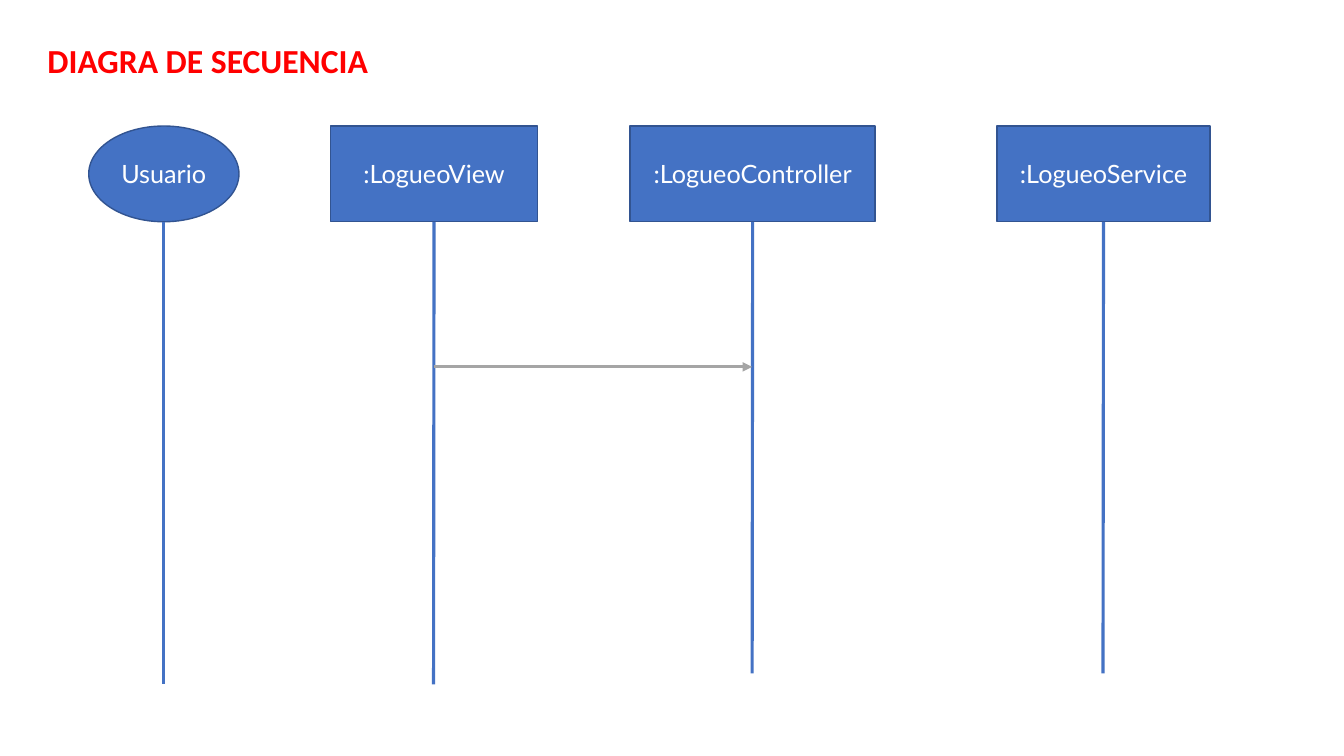
from dataclasses import dataclass

from lxml import etree
from pptx import Presentation
from pptx.dml.color import RGBColor
from pptx.enum.shapes import MSO_CONNECTOR, MSO_SHAPE
from pptx.enum.text import MSO_ANCHOR, MSO_AUTO_SIZE, PP_ALIGN
from pptx.oxml.ns import qn
from pptx.util import Pt

PX = 9144  # EMU per px, 100 px to the inch
RECT, OVAL = MSO_SHAPE.RECTANGLE, MSO_SHAPE.OVAL
STRAIGHT = MSO_CONNECTOR.STRAIGHT
TOP, MIDDLE = MSO_ANCHOR.TOP, MSO_ANCHOR.MIDDLE
LEFT, CENTER = PP_ALIGN.LEFT, PP_ALIGN.CENTER
NO_AUTOFIT = MSO_AUTO_SIZE.NONE
TITLE_ONLY = 5
BOTTOM_SIDE = 2


@dataclass(frozen=True)
class Theme:
    title: RGBColor = RGBColor(0xFF, 0x00, 0x00)
    text: RGBColor = RGBColor(0xFF, 0xFF, 0xFF)
    fill: RGBColor = RGBColor(0x44, 0x72, 0xC4)
    outline: RGBColor = RGBColor(0x32, 0x54, 0x91)
    message: RGBColor = RGBColor(0xA5, 0xA5, 0xA5)
    title_font: str = "Calibri"
    text_font: str = "Lato"
    title_size: int = 24
    text_size: int = 18
    outline_width: float = 1
    line_width: float = 2.25


THEME = Theme()

# Head shape, name, left and width in px, lifeline length in px
PARTICIPANTS = [
    (OVAL, "Usuario", 88, 149, 459),
    (RECT, ":LogueoView", 328, 205, 459),
    (RECT, ":LogueoController", 625, 243, 448),
    (RECT, ":LogueoService", 989, 211, 448),
]
# Sender, receiver, distance below the heads in px
MESSAGES = [(":LogueoView", ":LogueoController", 144)]


def write_text(sp, text, anchor, align, font_format):
    tf = sp.text_frame
    frame_format = {"word_wrap": True, "auto_size": NO_AUTOFIT, "vertical_anchor": anchor}
    for name, value in frame_format.items():
        setattr(tf, name, value)
    p = tf.paragraphs[0]
    p.alignment = align
    r = p.add_run()
    r.text = text
    color = font_format["color"]
    r.font.color.rgb = color
    for name, value in font_format.items():
        if name != "color":
            setattr(r.font, name, value)


def add_line(s, x1, y1, x2, y2, color, arrow=False):
    line = s.shapes.add_connector(STRAIGHT, *(v * PX for v in (x1, y1, x2, y2)))
    line.line.color.rgb = color
    line.line.width = Pt(THEME.line_width)
    if arrow:
        etree.SubElement(line.line._get_or_add_ln(), qn("a:tailEnd"), type="triangle")
    etree.SubElement(line._element.spPr, qn("a:effectLst"))
    return line


def add_title(s, left, top, width, height):
    sp = s.shapes.title
    box = {"left": left, "top": top, "width": width, "height": height}
    for name, value in box.items():
        setattr(sp, name, value * PX)
    write_text(sp, "DIAGRA DE SECUENCIA", TOP, LEFT, {
        "name": THEME.title_font, "size": Pt(THEME.title_size),
        "bold": True, "color": THEME.title})


def add_participant(s, kind, name, left, top, width, height, length):
    # Head
    sp = s.shapes.add_shape(kind, *(v * PX for v in (left, top, width, height)))
    sp.shadow.inherit = False
    sp.fill.solid()
    sp.fill.fore_color.rgb = THEME.fill
    sp.line.color.rgb = THEME.outline
    sp.line.width = Pt(THEME.outline_width)
    write_text(sp, name, MIDDLE, CENTER, {
        "name": THEME.text_font, "size": Pt(THEME.text_size), "color": THEME.text})

    # Lifeline
    x, y = left + width // 2, top + height
    line = add_line(s, x, y, x, y + length, THEME.fill)
    if kind == RECT:
        line.begin_connect(sp, BOTTOM_SIDE)
    return x


def add_sequence(s, top, head_height):
    axes = {}
    for kind, name, left, width, length in PARTICIPANTS:
        axes[name] = add_participant(s, kind, name, left, top, width, head_height, length)

    # Messages between lifelines
    for sender, receiver, offset in MESSAGES:
        y = top + head_height + offset
        add_line(s, axes[sender], y, axes[receiver], y, THEME.message, arrow=True)


def main():
    prs = Presentation()
    prs.slide_width, prs.slide_height = 1333 * PX, 750 * PX
    s = prs.slides.add_slide(prs.slide_layouts[TITLE_ONLY])
    add_title(s, 37, 35, 544, 50)
    add_sequence(s, 125, 95)
    prs.save("out.pptx")


if __name__ == "__main__":
    main()
